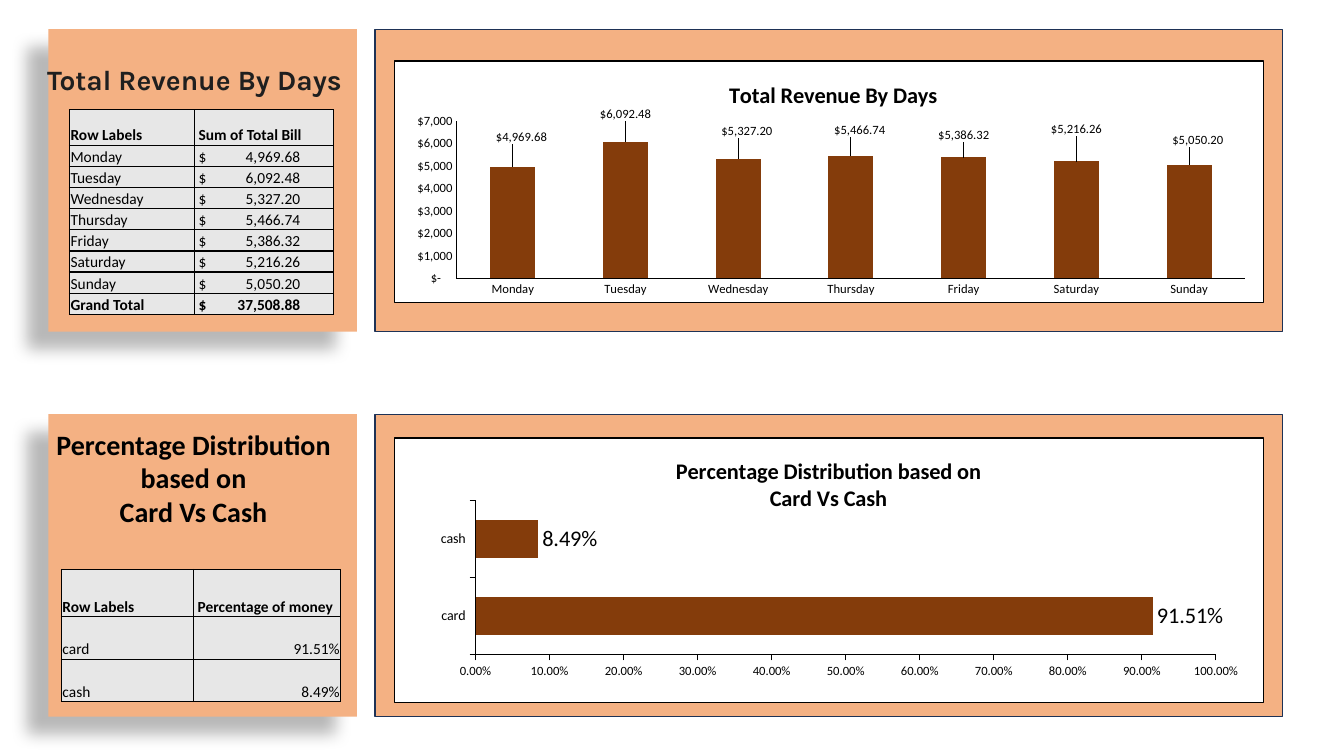
from dataclasses import dataclass

from lxml.etree import SubElement
from pptx import Presentation
from pptx.chart.data import CategoryChartData
from pptx.dml.color import RGBColor
from pptx.enum.chart import XL_CHART_TYPE, XL_LABEL_POSITION, XL_TICK_MARK
from pptx.enum.shapes import MSO_SHAPE
from pptx.enum.text import MSO_ANCHOR, PP_ALIGN
from pptx.oxml import parse_xml
from pptx.oxml.ns import nsdecls, qn
from pptx.util import Inches, Pt


@dataclass(frozen=True)
class Theme:
    panel: RGBColor = RGBColor.from_string("F4B183")
    panel_line: RGBColor = RGBColor.from_string("1E3256")
    cell: RGBColor = RGBColor.from_string("E7E7E7")
    bar: RGBColor = RGBColor.from_string("843C0B")
    black: RGBColor = RGBColor.from_string("000000")
    heading: RGBColor = RGBColor.from_string("1F1F1F")
    font: str = "Calibri"
    heading_font: str = "Karla"
    heading_size: Pt = Pt(20)
    chart_title_size: Pt = Pt(16)
    table_size: Pt = Pt(11)
    axis_size: Pt = Pt(9)


THEME = Theme()


def write_text(frame, text, *, size, font=THEME.font, color=THEME.black, bold=False,
               align=PP_ALIGN.LEFT, tab=None):
    """Fill a frame, one paragraph per line; tab is a right tab stop in inches."""
    for index, line in enumerate(text.split("\n")):
        paragraph = frame.paragraphs[0] if index == 0 else frame.add_paragraph()
        paragraph.text = line
        paragraph.alignment = align
        if tab:
            stops = SubElement(paragraph._p.get_or_add_pPr(), qn("a:tabLst"))
            SubElement(stops, qn("a:tab"), pos=str(Inches(tab)), algn="r")
        for run in paragraph.runs:
            run.font.name = font
            run.font.size = size
            run.font.bold = bold
            run.font.color.rgb = color


def set_layout(parent, index, **values):
    """Give a chart element a manual layout as its child number index."""
    for old_layout in parent.findall(qn("c:layout")):
        parent.remove(old_layout)
    layout = parse_xml(f"<c:layout {nsdecls('c')}><c:manualLayout/></c:layout>")
    for name, value in values.items():
        SubElement(layout[0], qn(f"c:{name}"), val=str(value))
    parent.insert(index, layout)


presentation = Presentation()
presentation.slide_width = Inches(13.33)
presentation.slide_height = Inches(7.5)
slide = presentation.slides.add_slide(presentation.slide_layouts[5])

# Panels: a shadowed one for each table, an outlined one for each chart
for top in (0.29, 4.11):
    for left, width, outlined in ((0.48, 3.06, False), (3.72, 9, True)):
        panel = slide.shapes.add_shape(MSO_SHAPE.RECTANGLE, Inches(left), Inches(top),
                                       Inches(width), Inches(3))
        panel.shadow.inherit = False
        panel.fill.solid()
        panel.fill.fore_color.rgb = THEME.panel
        if outlined:
            panel.line.color.rgb = THEME.panel_line
            panel.line.width = Pt(1)
        else:
            panel.line.fill.background()
            effects = panel.element.spPr.find(qn("a:effectLst"))
            effects.append(parse_xml(
                f'<a:outerShdw {nsdecls("a")} blurRad="{Pt(11.8)}" dist="{Pt(19.7)}" '
                'dir="8460000" algn="ctr" rotWithShape="0"><a:srgbClr val="000000">'
                '<a:alpha val="28000"/></a:srgbClr></a:outerShdw>'))

# Headings
revenue_heading = slide.shapes.title
revenue_heading.element.getparent().append(revenue_heading.element)
payment_heading = slide.shapes.add_textbox(0, 0, 0, 0)
headings = (
    (revenue_heading, "Total Revenue By Days", 0.25, 0.57, 0.44,
     THEME.heading_font, THEME.heading),
    (payment_heading, "Percentage Distribution based on\nCard Vs Cash", 0.24, 4.19, 1.45,
     THEME.font, THEME.black),
)
for shape, text, left, top, height, font, color in headings:
    shape.left, shape.top = Inches(left), Inches(top)
    shape.width, shape.height = Inches(3.36), Inches(height)
    shape.text_frame.word_wrap = True
    shape.text_frame.vertical_anchor = MSO_ANCHOR.TOP
    write_text(shape.text_frame, text, size=THEME.heading_size, font=font, color=color,
               bold=True, align=PP_ALIGN.CENTER)

# Tables
revenue = {"Monday": 4969.68, "Tuesday": 6092.48, "Wednesday": 5327.20, "Thursday": 5466.74,
           "Friday": 5386.32, "Saturday": 5216.26, "Sunday": 5050.20}
payment = {"card": 0.9151, "cash": 0.0849}
revenue_rows = [("Row Labels", "Sum of Total Bill")]
revenue_rows += [(day, f"$\t{amount:,.2f}") for day, amount in revenue.items()]
revenue_rows += [("Grand Total", f"$\t{sum(revenue.values()):,.2f}")]
payment_rows = [("Row Labels", "Percentage of money")]
payment_rows += [(kind, f"{share:.2%}") for kind, share in payment.items()]

tables = (
    (revenue_rows, 0.69, 1.09, (1.24, 1.38), 0.35, 0.21),
    (payment_rows, 0.61, 5.65, (1.31, 1.46), 0.47, 0.42),
)
for rows, left, top, widths, header_height, row_height in tables:
    height = header_height + row_height * (len(rows) - 1)
    table = slide.shapes.add_table(len(rows), 2, Inches(left), Inches(top),
                                   Inches(sum(widths)), Inches(height)).table
    table.first_row = table.horz_banding = False
    for column, width in zip(table.columns, widths):
        column.width = Inches(width)
    for row_index, row in enumerate(rows):
        is_header = row_index == 0
        table.rows[row_index].height = Inches(header_height if is_header else row_height)
        for column_index, text in enumerate(row):
            cell = table.cell(row_index, column_index)
            is_percentage = text.endswith("%")
            indented = column_index == 1 and not is_percentage
            cell.margin_left = Inches(0.04 if indented else 0.01)
            cell.margin_right = cell.margin_top = Inches(0.01)
            cell.margin_bottom = 0
            cell.vertical_anchor = MSO_ANCHOR.BOTTOM
            cell.fill.solid()
            cell.fill.fore_color.rgb = THEME.cell
            for position, side in enumerate(("lnL", "lnR", "lnT", "lnB")):
                cell._tc.get_or_add_tcPr().insert(position, parse_xml(
                    f'<a:{side} {nsdecls("a")} w="{Pt(1)}"><a:solidFill>'
                    f'<a:srgbClr val="{THEME.black}"/></a:solidFill></a:{side}>'))
            write_text(cell.text_frame, text, size=THEME.table_size,
                       bold=is_header or row[0] == "Grand Total",
                       align=PP_ALIGN.RIGHT if is_percentage else PP_ALIGN.LEFT,
                       tab=1.01 if "\t" in text else None)

# Charts
charts = (
    dict(kind=XL_CHART_TYPE.COLUMN_STACKED, values=revenue, top=0.6, height=2.41,
         title="Total Revenue By Days", title_at=(0.38, 0.06),
         plot=(0.071, 0.249, 0.908, 0.65), gap=150, overlap=100, maximum=7000, step=1000,
         axis_format='[$$-409]#,##0;-[$$-409]#,##0;"$-"_0_0', label_format="[$$-409]#,##0.00",
         label_size=THEME.axis_size, label_position=XL_LABEL_POSITION.INSIDE_END,
         tick=XL_TICK_MARK.NONE, category_size=THEME.axis_size,
         label_shifts=((0.01, -0.17), (0, -0.16), (0.01, -0.16), (0.01, -0.15), (0, -0.14),
                       (0, -0.18), (0.01, -0.15))),
    dict(kind=XL_CHART_TYPE.BAR_CLUSTERED, values=payment, top=4.34, height=2.63,
         title="Percentage Distribution based on\nCard Vs Cash", title_at=(0.32, 0.06),
         plot=(0.093, 0.238, 0.852, 0.582), gap=100, overlap=0, maximum=1, step=0.1,
         axis_format="0.00%", label_format="0.00%", label_size=THEME.chart_title_size,
         label_position=XL_LABEL_POSITION.OUTSIDE_END,
         tick=XL_TICK_MARK.OUTSIDE, category_size=Pt(10), label_shifts=()),
)
for settings in charts:
    chart_data = CategoryChartData(number_format=settings["label_format"])
    chart_data.categories = list(settings["values"])
    chart_data.add_series("Series 1", list(settings["values"].values()))
    chart = slide.shapes.add_chart(settings["kind"], Inches(3.91), Inches(settings["top"]),
                                   Inches(8.63), Inches(settings["height"]), chart_data).chart
    chart.font.name, chart.font.size = THEME.font, Pt(10)
    chart.font.color.rgb = THEME.black
    chart.has_legend = False
    chart.has_title = True
    write_text(chart.chart_title.text_frame, settings["title"], bold=True,
               size=THEME.chart_title_size, align=PP_ALIGN.CENTER)
    chart.element.find(qn("c:chart")).addnext(parse_xml(
        f'<c:spPr {nsdecls("c", "a")}><a:solidFill><a:srgbClr val="FFFFFF"/></a:solidFill>'
        f'<a:ln w="{Pt(0.75)}"><a:solidFill><a:srgbClr val="{THEME.black}"/></a:solidFill>'
        '</a:ln></c:spPr>'))

    for axis, size in ((chart.category_axis, settings["category_size"]),
                       (chart.value_axis, THEME.axis_size)):
        axis.has_major_gridlines = False
        axis.major_tick_mark = settings["tick"]
        axis.minor_tick_mark = XL_TICK_MARK.NONE
        axis.tick_labels.font.size = size
        axis.format.line.color.rgb = THEME.black
        axis.format.line.width = Pt(0.75)
    chart.value_axis.minimum_scale = 0
    chart.value_axis.maximum_scale = settings["maximum"]
    chart.value_axis.major_unit = settings["step"]
    chart.value_axis.tick_labels.number_format = settings["axis_format"]
    chart.value_axis.tick_labels.number_format_is_linked = False

    plot = chart.plots[0]
    plot.vary_by_categories = False
    plot.gap_width, plot.overlap = settings["gap"], settings["overlap"]
    series = plot.series[0]
    series.format.fill.solid()
    series.format.fill.fore_color.rgb = THEME.bar
    labels = series.data_labels
    labels.show_value = True
    labels.position = settings["label_position"]
    labels.number_format = settings["label_format"]
    labels.number_format_is_linked = False
    labels.font.size = settings["label_size"]
    labels.font.color.rgb = THEME.black

    for index, (x, y) in enumerate(settings["label_shifts"]):
        label = series.points[index].data_label
        label.font.size = settings["label_size"]
        label.position = settings["label_position"]
        set_layout(chart.element.xpath(".//c:dLbl")[index], 1, x=x, y=y)
    x, y = settings["title_at"]
    set_layout(chart.element.xpath("c:chart/c:title")[0], 1,
               xMode="edge", yMode="edge", x=x, y=y)
    x, y, width, height = settings["plot"]
    set_layout(chart.element.xpath("c:chart/c:plotArea")[0], 0, layoutTarget="inner",
               xMode="edge", yMode="edge", x=x, y=y, w=width, h=height)

presentation.save("out.pptx")
